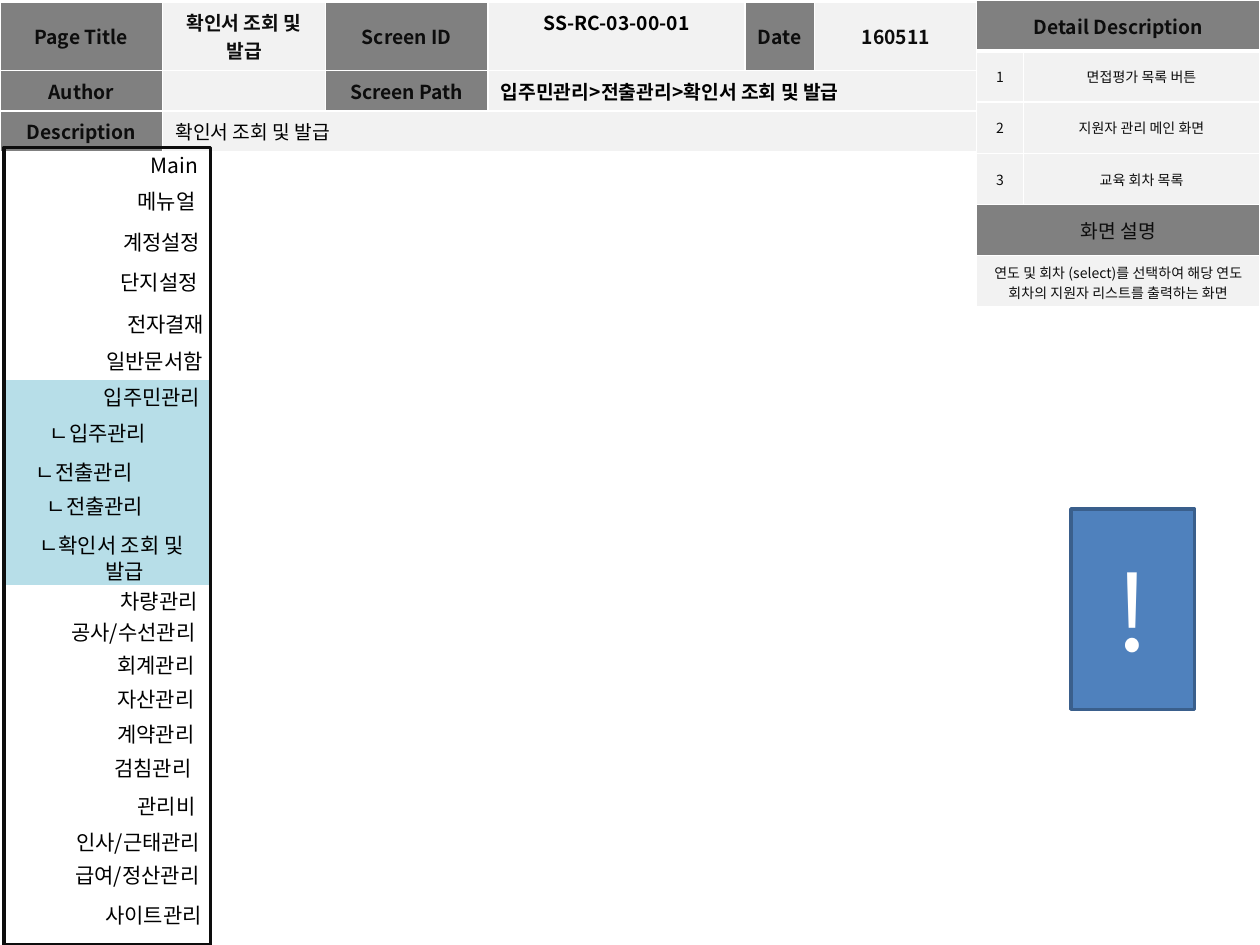
"""Build the resident certificate screen specification slide."""
from lxml import etree
from pptx import Presentation
from pptx.dml.color import RGBColor
from pptx.enum import shapes, text
from pptx.oxml import ns
from pptx.util import Cm, Pt

FONT = "Noto Sans CJK KR"
INK = RGBColor(0x0D, 0x0D, 0x0D)
BLACK = RGBColor(0, 0, 0)
WHITE = RGBColor(0xFF, 0xFF, 0xFF)
GRAY = RGBColor(0x80, 0x80, 0x80)
PALE = RGBColor(0xF2, 0xF2, 0xF2)
SKY = RGBColor(0xB7, 0xDE, 0xE8)
BLUE = RGBColor(0x4F, 0x81, 0xBD)
NAVY = RGBColor(0x3A, 0x5F, 0x8C)
LEFT, CENTER, RIGHT = text.PP_ALIGN.LEFT, text.PP_ALIGN.CENTER, text.PP_ALIGN.RIGHT


def write(frame, wording, size, color, align, bold=False):
    frame.text = wording
    frame.word_wrap = True
    paragraph = frame.paragraphs[0]
    paragraph.alignment = align
    for run in paragraph.runs:
        run.font.size = Pt(size)
        run.font.bold = bold
        run.font.color.rgb = color
        run.font.name = FONT
        etree.SubElement(run.font._element, ns.qn("a:ea"), typeface=FONT)
    if not wording:
        etree.SubElement(paragraph._p, ns.qn("a:endParaRPr"), sz=str(size * 100))
    return paragraph


def fill_cell(cell, wording, size, fill, color=INK, align=CENTER, bold=False, borders=()):
    write(cell.text_frame, wording, size, color, align, bold)
    cell.vertical_anchor = text.MSO_ANCHOR.MIDDLE
    properties = cell._tc.get_or_add_tcPr()
    for side, width in borders:
        edge = etree.SubElement(properties, ns.qn(f"a:ln{side}"), w=str(Pt(width)))
        paint = etree.SubElement(edge, ns.qn("a:solidFill"))
        etree.SubElement(paint, ns.qn("a:srgbClr"), val=str(WHITE))
    cell.fill.solid()
    cell.fill.fore_color.rgb = fill


deck = Presentation()
deck.slide_width, deck.slide_height = Cm(25.4), Cm(19.05)
slide = deck.slides.add_slide(deck.slide_layouts[6])
ALL_SIDES = [(side, 1) for side in "LRTB"]

header_rows = [
    ["Page Title", "확인서 조회 및 발급", "Screen ID", "SS-RC-03-00-01", "Date", "160511"],
    ["Author", "", "Screen Path", "입주민관리>전출관리>확인서 조회 및 발급"],
    ["Description", "확인서 조회 및 발급"],
]
header = slide.shapes.add_table(3, 6, Cm(0), Cm(0.04), Cm(19.7), Cm(2.97)).table
for column, width in zip(header.columns, [3.28, 3.28, 3.28, 5.18, 1.4, 3.28]):
    column.width = Cm(width)
for row, height in zip(header.rows, [1.37, 0.8, 0.8]):
    row.height = Cm(height)
header.cell(1, 3).merge(header.cell(1, 5))
header.cell(2, 1).merge(header.cell(2, 5))
for r, wordings in enumerate(header_rows):
    for c, wording in enumerate(wordings):
        cell = header.cell(r, c)
        fill_cell(cell, wording, 11, PALE if c % 2 else GRAY,
                  color=BLACK if c == 3 or r == 2 and c else INK,
                  align=LEFT if cell.is_merge_origin else CENTER,
                  bold=not (r == 2 and c == 1),
                  borders=ALL_SIDES if r else [("B", 1)])
    for c in range(len(wordings), 6):
        fill_cell(header.cell(r, c), "", 11, PALE, borders=ALL_SIDES)
header.cell(0, 3).vertical_anchor = text.MSO_ANCHOR.TOP

for top, height, fill, line in [(7.62, 4.22, SKY, WHITE), (2.97, 16.08, None, INK)]:
    panel = slide.shapes.add_shape(shapes.MSO_SHAPE.RECTANGLE, Cm(0.08), Cm(top), Cm(4.17), Cm(height))
    panel.shadow.inherit = False
    if fill is None:
        panel.fill.background()
    else:
        panel.fill.solid()
        panel.fill.fore_color.rgb = fill
    panel.line.color.rgb = line
    panel.line.width = Pt(2)

menu = [
    ("Main", 4.24, 2.95), ("메뉴얼", 4.19, 3.68), ("계정설정", 4.29, 4.5),
    ("단지설정", 4.24, 5.31), ("전자결재", 4.37, 6.15), ("일반문서함", 4.34, 6.91),
    ("입주민관리", 4.29, 7.62), ("ㄴ입주관리", 3.2, 8.36), ("ㄴ전출관리", 2.92, 9.14),
    ("ㄴ전출관리", 3.14, 9.83), ("차량관리", 4.24, 11.73), ("공사/수선관리", 4.19, 12.37),
    ("회계관리", 4.17, 13.03), ("자산관리", 4.17, 13.72), ("계약관리", 4.17, 14.43),
    ("검침관리", 4.11, 15.11), ("관리비", 4.19, 15.88), ("인사/근태관리", 4.29, 16.59),
    ("급여/정산관리", 4.27, 17.27), ("사이트관리", 4.32, 18.06),
]
for label, right, top in menu:
    entry = slide.shapes.add_textbox(Cm(right - 4.19), Cm(top), Cm(4.19), Cm(0.75))
    write(entry.text_frame, label, 12, BLACK, RIGHT)

certificate = slide.shapes.add_textbox(Cm(0.51), Cm(10.62), Cm(3.51), Cm(1.24))
certificate.text_frame.margin_left = Cm(0.28)
certificate.text_frame.margin_right = Cm(0.1)
wrapped = write(certificate.text_frame, "ㄴ확인서 조회 및 발급", 12, BLACK, LEFT)
hanging = wrapped._p.get_or_add_pPr()
hanging.set("marL", str(Cm(1.34)))
hanging.set("indent", str(-Cm(1.34)))

detail_rows = [
    ["Detail Description"],
    ["1", "면접평가 목록 버튼"],
    ["2", "지원자 관리 메인 화면"],
    ["3", "교육 회차 목록"],
    ["화면 설명"],
    ["연도 및 회차 (select)를 선택하여 해당 연도 회차의 지원자 리스트를 출력하는 화면"],
]
detail = slide.shapes.add_table(6, 2, Cm(19.69), Cm(0), Cm(5.71), Cm(6.18)).table
detail.columns[0].width, detail.columns[1].width = Cm(0.94), Cm(4.77)
for r, wordings in enumerate(detail_rows):
    detail.rows[r].height = Cm(1.03)
    if len(wordings) == 1:
        detail.cell(r, 0).merge(detail.cell(r, 1))
    heading = r in (0, 4)
    for c, wording in enumerate(wordings):
        fill_cell(detail.cell(r, c), wording, 11 if heading else 8, GRAY if heading else PALE,
                  bold=r == 0, borders=ALL_SIDES[:3] + [("B", 3)] if r == 0 else ALL_SIDES)
summary = detail.cell(5, 0)
summary.margin_left = summary.margin_right = Cm(0.29)

alert = slide.shapes.add_shape(shapes.MSO_SHAPE.RECTANGLE, Cm(21.59), Cm(10.26), Cm(2.49), Cm(4.04))
alert.shadow.inherit = False
alert.fill.solid()
alert.fill.fore_color.rgb = BLUE
alert.line.color.rgb = NAVY
alert.line.width = Pt(2)
alert.text_frame.vertical_anchor = text.MSO_ANCHOR.MIDDLE
write(alert.text_frame, "!", 60, WHITE, CENTER)

deck.save("out.pptx")
